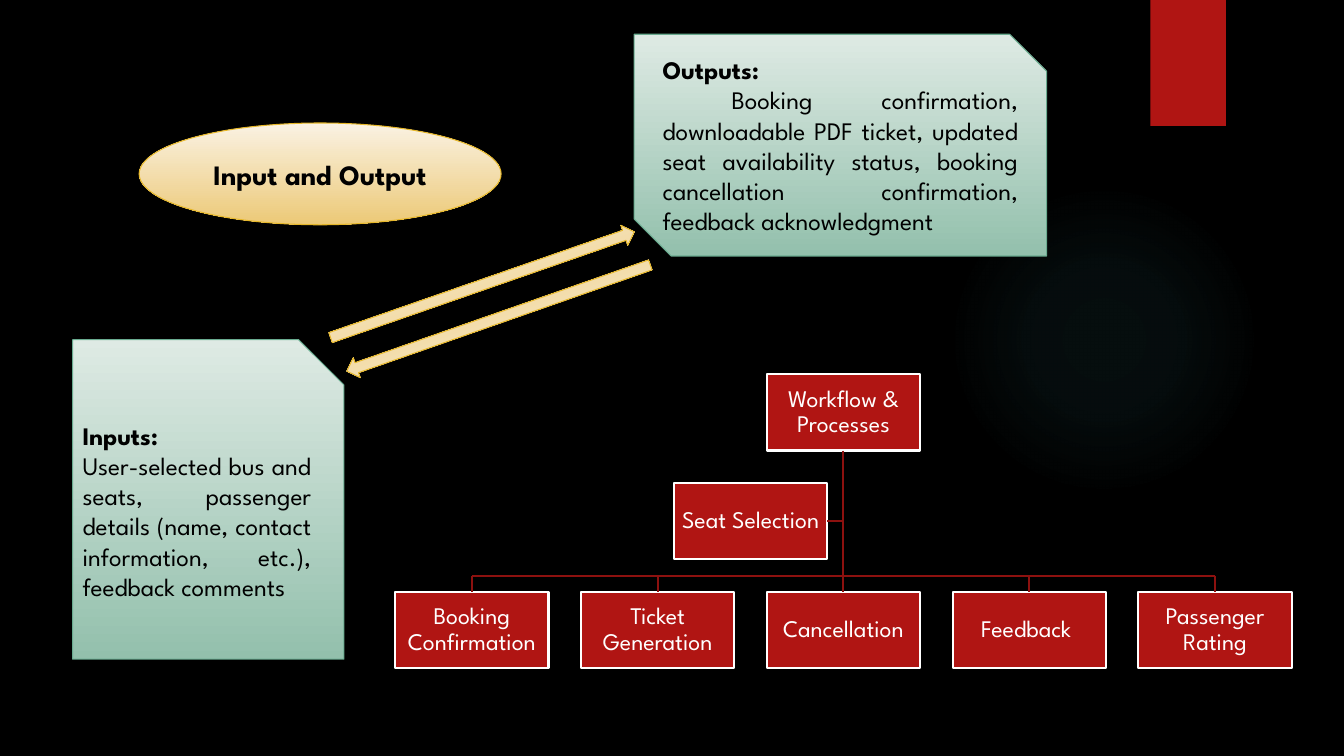
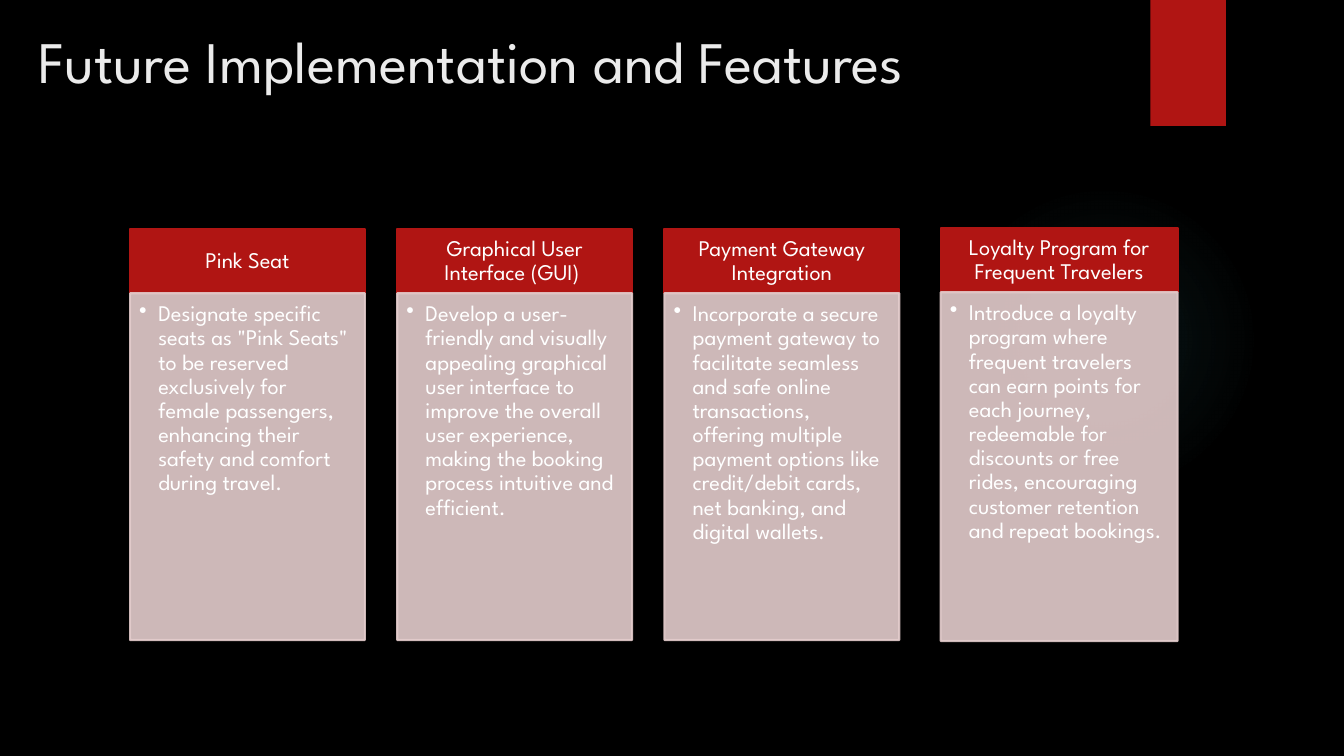
import pptx
import pptx.util
import pptx.dml.color
import pptx.enum.shapes
import pptx.enum.text
import pptx.oxml
import pptx.oxml.ns

Inches = pptx.util.Inches
Pt = pptx.util.Pt
RGBColor = pptx.dml.color.RGBColor
SHAPE = pptx.enum.shapes.MSO_SHAPE
LINK = pptx.enum.shapes.MSO_CONNECTOR
ALIGN = pptx.enum.text.PP_ALIGN
ANCHOR = pptx.enum.text.MSO_ANCHOR
qn = pptx.oxml.ns.qn

FONT = "League Spartan"
BLACK = RGBColor(0x00, 0x00, 0x00)
WHITE = RGBColor(0xFF, 0xFF, 0xFF)
PALE = RGBColor(0xEB, 0xEB, 0xEB)
RED = RGBColor(0xB0, 0x15, 0x13)
MAROON = RGBColor(0x8D, 0x11, 0x0F)
PINK = RGBColor(0xE4, 0xCC, 0xCC)
TEAL = RGBColor(0x50, 0xB9, 0xC1)
# Each pair of gradient stops comes with its outline
GOLD = (RGBColor(0xFA, 0xF2, 0xE3), RGBColor(0xEC, 0xC9, 0x77), RGBColor(0xE6, 0xB7, 0x29))
GREEN = (RGBColor(0xDE, 0xEA, 0xE4), RGBColor(0x93, 0xC0, 0xAC), RGBColor(0x6A, 0xAC, 0x90))

GLOW = ((0, 7), (36, 6), (69, 0))

STEPS = ("Booking Confirmation", "Ticket Generation", "Cancellation",
         "Feedback ", "Passenger Rating")

CARDS = (
    ((1.29, 2.27, 2.33, 4.08), "Pink Seat",
     "Designate specific seats as \"Pink Seats\" to be reserved exclusively for "
     "female passengers, enhancing their safety and comfort during travel."),
    ((3.94, 2.27, 2.33, 4.08), "Graphical User Interface (GUI) ",
     "Develop a user-friendly and visually appealing graphical user interface to "
     "improve the overall user experience, making the booking process intuitive "
     "and efficient."),
    ((6.59, 2.27, 2.33, 4.08), "Payment Gateway Integration",
     "Incorporate a secure payment gateway to facilitate seamless and safe online "
     "transactions, offering multiple payment options like credit/debit cards, "
     "net banking, and digital wallets."),
    ((9.33, 2.26, 2.35, 4.1), "Loyalty Program for Frequent Travelers",
     "Introduce a loyalty program where frequent travelers can earn points for "
     "each journey, redeemable for discounts or free rides, encouraging customer "
     "retention and repeat bookings."),
)


def draw(slide, kind, box, fill, line=None, width=1.5):
    """Add a shape with a plain fill, or a vertical gradient for a triple."""
    shape = slide.shapes.add_shape(kind, *map(Inches, box))
    shape.shadow.inherit = False
    if isinstance(fill, RGBColor):
        shape.fill.solid()
        shape.fill.fore_color.rgb = fill
    else:
        shape.fill.gradient()
        shape.fill.gradient_angle = 270
        for stop, tone, place in zip(shape.fill.gradient_stops, fill, (0, 1)):
            stop.color.rgb = tone
            stop.position = place
        line, width = fill[2], 0.75
    if line is None:
        shape.line.fill.background()
    else:
        shape.line.color.rgb = line
        shape.line.width = Pt(width)
    return shape


def write(par, text, size, color, align, bold=False, space=None):
    par.alignment = align
    if space:
        par.line_spacing = space
    run = par.add_run()
    run.text = text
    font = run.font
    font.name, font.size, font.bold = FONT, Pt(size), bold
    font.color.rgb = color


def inset(frame, left, top, right, bottom):
    frame.margin_left, frame.margin_top = Inches(left), Inches(top)
    frame.margin_right, frame.margin_bottom = Inches(right), Inches(bottom)


def fade(shape, share):
    """Make the fill and the outline partly clear."""
    for tone in shape._element.spPr.iter(qn("a:srgbClr")):
        alpha = pptx.oxml.parse_xml(
            f'<a:alpha {pptx.oxml.ns.nsdecls("a")} val="{share * 1000}"/>')
        tone.append(alpha)


def bullet(par, hang):
    props = par._p.get_or_add_pPr()
    props.set("marL", str(Inches(hang)))
    props.set("indent", str(-Inches(hang)))
    props.append(pptx.oxml.parse_xml(
        f'<a:buChar {pptx.oxml.ns.nsdecls("a")} char="•"/>'))


def base(deck, layout):
    """Add a slide with the soft glow and the red ribbon."""
    slide = deck.slides.add_slide(deck.slide_layouts[layout])
    glow = draw(slide, SHAPE.OVAL, (9.41, 1.83, 3.08, 3.08), TEAL)
    stops = "".join(
        f'<a:gs pos="{place * 1000}"><a:srgbClr val="{TEAL}">'
        f'<a:alpha val="{alpha * 1000}"/></a:srgbClr></a:gs>'
        for place, alpha in GLOW)
    grad = pptx.oxml.parse_xml(
        f'<a:gradFill {pptx.oxml.ns.nsdecls("a")}><a:gsLst>{stops}</a:gsLst>'
        '<a:path path="circle"><a:fillToRect l="50000" t="50000" r="50000" b="50000"/>'
        '</a:path></a:gradFill>')
    props = glow._element.spPr
    props.replace(props.find(qn("a:solidFill")), grad)
    draw(slide, SHAPE.RECTANGLE, (11.41, 0, 0.75, 1.25), RED)
    return slide


def note(slide, kind, box, head, body):
    frame = draw(slide, kind, box, GREEN).text_frame
    frame.word_wrap = True
    frame.vertical_anchor = ANCHOR.MIDDLE
    write(frame.paragraphs[0], head, 18, BLACK, ALIGN.JUSTIFY, bold=True)
    write(frame.add_paragraph(), body, 18, BLACK, ALIGN.JUSTIFY)


def node(slide, box, text):
    shape = draw(slide, SHAPE.RECTANGLE, box, RED, WHITE)
    frame = shape.text_frame
    frame.word_wrap = True
    frame.vertical_anchor = ANCHOR.MIDDLE
    inset(frame, 0.01, 0.01, 0.01, 0.01)
    write(frame.paragraphs[0], text, 17, WHITE, ALIGN.CENTER, space=0.9)
    return shape


def link(slide, start, end, source=None, target=None):
    """Draw a line; source and target are (shape, side) pairs."""
    line = slide.shapes.add_connector(LINK.STRAIGHT, *map(Inches, start + end))
    line.line.color.rgb = MAROON
    line.line.width = Pt(1.5)
    if source:
        line.begin_connect(*source)
    if target:
        line.end_connect(*target)
    props = line._element.spPr
    props.append(props.makeelement(qn("a:effectLst"), {}))


def tree(slide, box):
    """Draw the root, its side step and the row of steps."""
    left, top, width, height = box
    wide, high = 1.52, 0.76
    pitch = (width - wide) / (len(STEPS) - 1)
    row = top + height - high
    mid = left + width / 2
    rail = row - 0.16
    side = top + 1.08
    edge = mid - 0.16

    root = node(slide, (mid - wide / 2, top, wide, high), "Workflow & Processes")
    aide = node(slide, (edge - wide, side, wide, high), "Seat Selection")
    link(slide, (edge, side + high / 2), (mid, side + high / 2), source=(aide, 3))
    link(slide, (left + wide / 2, rail), (left + width - wide / 2, rail))
    for i, text in enumerate(STEPS):
        x = left + i * pitch
        step = node(slide, (x, row, wide, high), text)
        hub = x + wide / 2
        trunk = i == len(STEPS) // 2
        link(slide, (hub, top + high if trunk else rail), (hub, row),
             source=(root, 2) if trunk else None, target=(step, 0))


def flow(deck):
    slide = base(deck, 6)
    tree(slide, (3.92, 3.71, 8.89, 2.92))
    frame = draw(slide, SHAPE.OVAL, (1.38, 1.22, 3.59, 1.01), GOLD).text_frame
    frame.word_wrap = True
    frame.vertical_anchor = ANCHOR.MIDDLE
    write(frame.paragraphs[0], "Input and Output", 20, BLACK, ALIGN.CENTER, bold=True)
    note(slide, SHAPE.SNIP_1_RECTANGLE, (0.72, 3.37, 2.69, 3.17), "Inputs:",
         "User-selected bus and seats, passenger details (name, contact "
         "information, etc.), feedback comments")
    note(slide, SHAPE.SNIP_2_DIAG_RECTANGLE, (6.29, 0.34, 4.09, 2.2), "Outputs:",
         " Booking confirmation, downloadable PDF ticket, updated seat availability "
         "status, booking cancellation confirmation, feedback acknowledgment")
    for left, top, turn in ((3.19, 2.72, 340.8), (3.35, 3.05, 160.7)):
        arrow = draw(slide, SHAPE.RIGHT_ARROW, (left, top, 3.19, 0.21), GOLD)
        arrow.rotation = turn


def card(slide, box, head, body):
    left, top, width, height = box
    band = 0.64
    frame = draw(slide, SHAPE.RECTANGLE, (left, top, width, band), RED, RED).text_frame
    frame.word_wrap = True
    frame.vertical_anchor = ANCHOR.MIDDLE
    inset(frame, 0.12, 0.07, 0.12, 0.07)
    write(frame.paragraphs[0], head, 16, WHITE, ALIGN.CENTER, space=0.9)

    panel = draw(slide, SHAPE.RECTANGLE, (left, top + band, width, height - band),
                 PINK, PINK)
    fade(panel, 90)
    frame = panel.text_frame
    frame.word_wrap = True
    frame.vertical_anchor = ANCHOR.TOP
    inset(frame, 0.09, 0.09, 0.12, 0.14)
    par = frame.paragraphs[0]
    write(par, body, 16, WHITE, ALIGN.LEFT, space=0.9)
    bullet(par, 0.19)


def plans(deck):
    slide = base(deck, 5)
    title = slide.shapes.title
    title.left, title.top = Inches(0.28), Inches(0.19)
    title.width, title.height = Inches(10.85), Inches(1.25)
    frame = title.text_frame
    frame.auto_size = pptx.enum.text.MSO_AUTO_SIZE.NONE
    frame.vertical_anchor = ANCHOR.TOP
    write(frame.paragraphs[0], "Future Implementation and Features", 42, PALE, ALIGN.LEFT)
    for box, head, body in CARDS:
        card(slide, box, head, body)


def main():
    deck = pptx.Presentation()
    deck.slide_width, deck.slide_height = Inches(13.33), Inches(7.5)
    back = deck.slide_master.background.fill
    back.solid()
    back.fore_color.rgb = BLACK
    flow(deck)
    plans(deck)
    deck.save("out.pptx")


if __name__ == "__main__":
    main()
